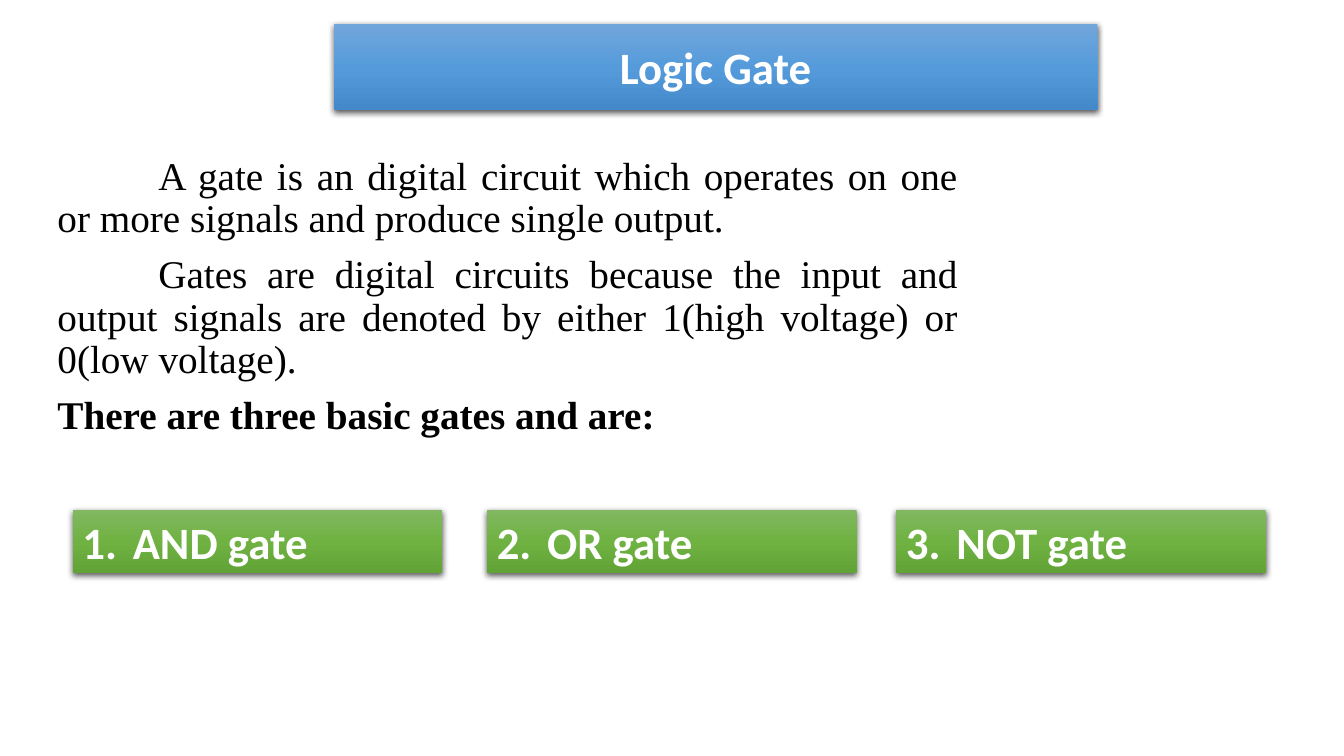
from copy import deepcopy

from lxml.etree import SubElement
from pptx import Presentation
from pptx.dml.color import RGBColor
from pptx.enum.shapes import MSO_SHAPE as Shape
from pptx.enum.text import MSO_ANCHOR as Anchor, PP_ALIGN as Align
from pptx.oxml.ns import qn
from pptx.util import Cm, Pt

COLORS = {
    "text": "000000",
    "banner_text": "FFFFFF",
    "shadow": "000000",
    "blue": ("71A6DB", "559BDB", "448ACA"),
    "green": ("81B861", "6FB242", "62A336"),
}


class GateSlide:
    heading_font = "Calibri"
    body_font = "Times New Roman"

    def __init__(self, slide):
        self.slide = slide

    def style(self, paragraph, name, size, color, bold):
        font = paragraph.font
        font.name, font.size, font.bold = name, Pt(size), bold
        font.color.rgb = RGBColor.from_string(COLORS[color])

    def shade(self, banner, colors):
        """Fill from top to bottom through three colours."""
        banner.fill.gradient()
        banner.fill.gradient_angle = 270
        first = banner.element.find(".//" + qn("a:gs"))
        first.addnext(deepcopy(first))
        for stop, color, position in zip(banner.fill.gradient_stops, colors, (0, 0.5, 1)):
            stop.color.rgb = RGBColor.from_string(color)
            stop.position = position

    def cast_shadow(self, banner):
        banner.shadow.inherit = False
        effects = banner.element.find(".//" + qn("a:effectLst"))
        shadow = SubElement(effects, qn("a:outerShdw"), blurRad=str(Pt(4.5)),
                            dist=str(Pt(1.5)), dir="5400000", algn="ctr", rotWithShape="0")
        color = SubElement(shadow, qn("a:srgbClr"), val=COLORS["shadow"])
        SubElement(color, qn("a:alpha"), val="63000")

    def banner(self, text, left, top, width, height, fill, align):
        banner = self.slide.shapes.add_shape(
            Shape.RECTANGLE, Cm(left), Cm(top), Cm(width), Cm(height))
        self.shade(banner, COLORS[fill])
        banner.line.fill.background()
        self.cast_shadow(banner)
        frame = banner.text_frame
        frame.vertical_anchor = Anchor.MIDDLE
        frame.text = text
        paragraph = frame.paragraphs[0]
        paragraph.alignment = align
        self.style(paragraph, self.heading_font, 32, "banner_text", True)

    def body(self, passages, left, top, width, height):
        """Write (text, first-line indent, bold) passages as justified text."""
        frame = self.slide.shapes.add_textbox(
            Cm(left), Cm(top), Cm(width), Cm(height)).text_frame
        frame.word_wrap = True
        for number, (text, indent, bold) in enumerate(passages):
            paragraph = frame.add_paragraph() if number else frame.paragraphs[0]
            paragraph.text = text
            paragraph.alignment = Align.JUSTIFY
            paragraph.line_spacing = 0.9
            paragraph.space_before = Pt(10)
            properties = paragraph._p.get_or_add_pPr()
            properties.set("marL", str(Cm(0.64)))
            properties.set("indent", str(Cm(indent)))
            self.style(paragraph, self.body_font, 28, "text", bold)


def main():
    deck = Presentation()
    deck.slide_width, deck.slide_height = Cm(33.87), Cm(19.05)
    page = GateSlide(deck.slides.add_slide(deck.slide_layouts[6]))

    # Title
    page.banner("Logic Gate", 8.41, 0.61, 19.25, 2.16, "blue", Align.CENTER)

    # Definition
    page.body([
        ("A gate is an digital circuit which operates on one or more signals "
         "and produce single output.", 2.54, False),
        ("Gates are digital circuits because the input and output signals are "
         "denoted by either 1(high voltage) or 0(low voltage).", 2.54, False),
        ("There are three basic gates and are:", 0, True),
    ], 0.56, 3.81, 23.83, 8)

    # Basic gates
    gates = {"AND": 1.83, "OR": 12.27, "NOT": 22.58}
    for number, (gate, left) in enumerate(gates.items(), 1):
        page.banner(f"{number}.\t{gate} gate", left, 12.85, 9.32, 1.6, "green", Align.LEFT)

    deck.save("out.pptx")


if __name__ == "__main__":
    main()
